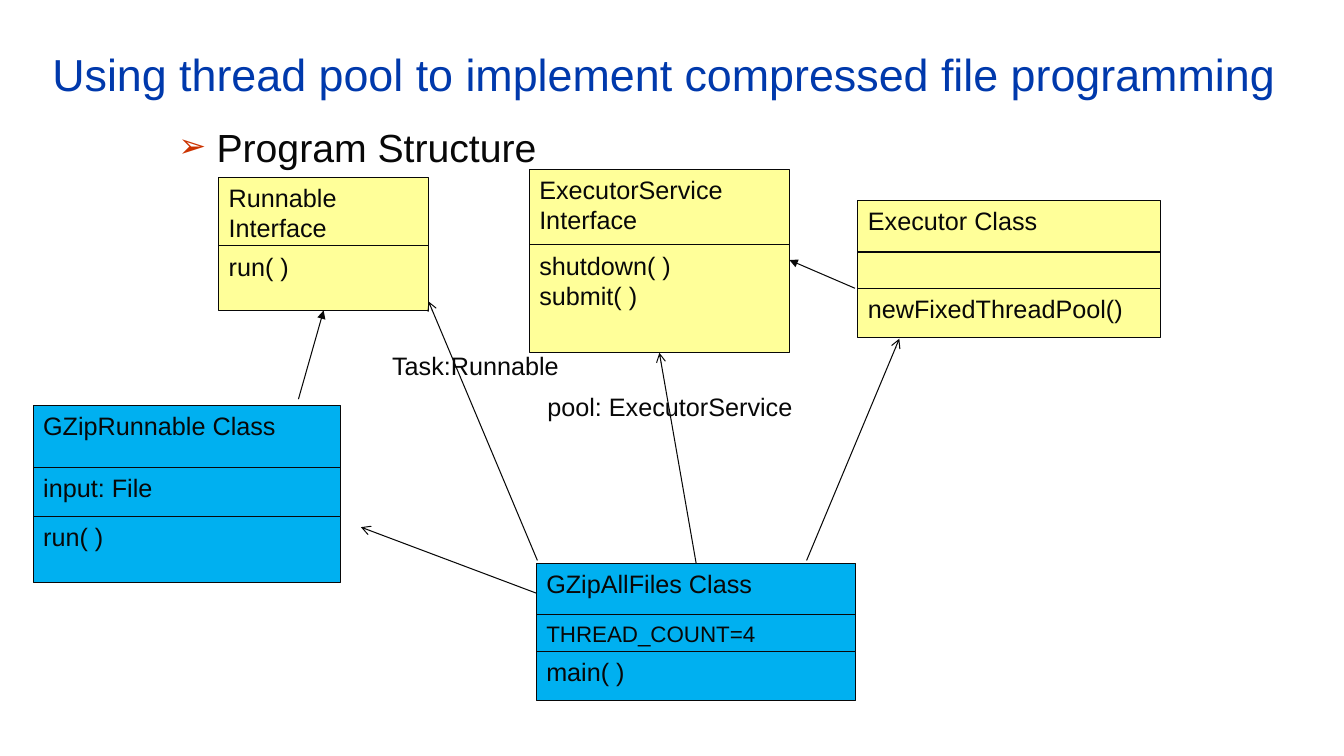
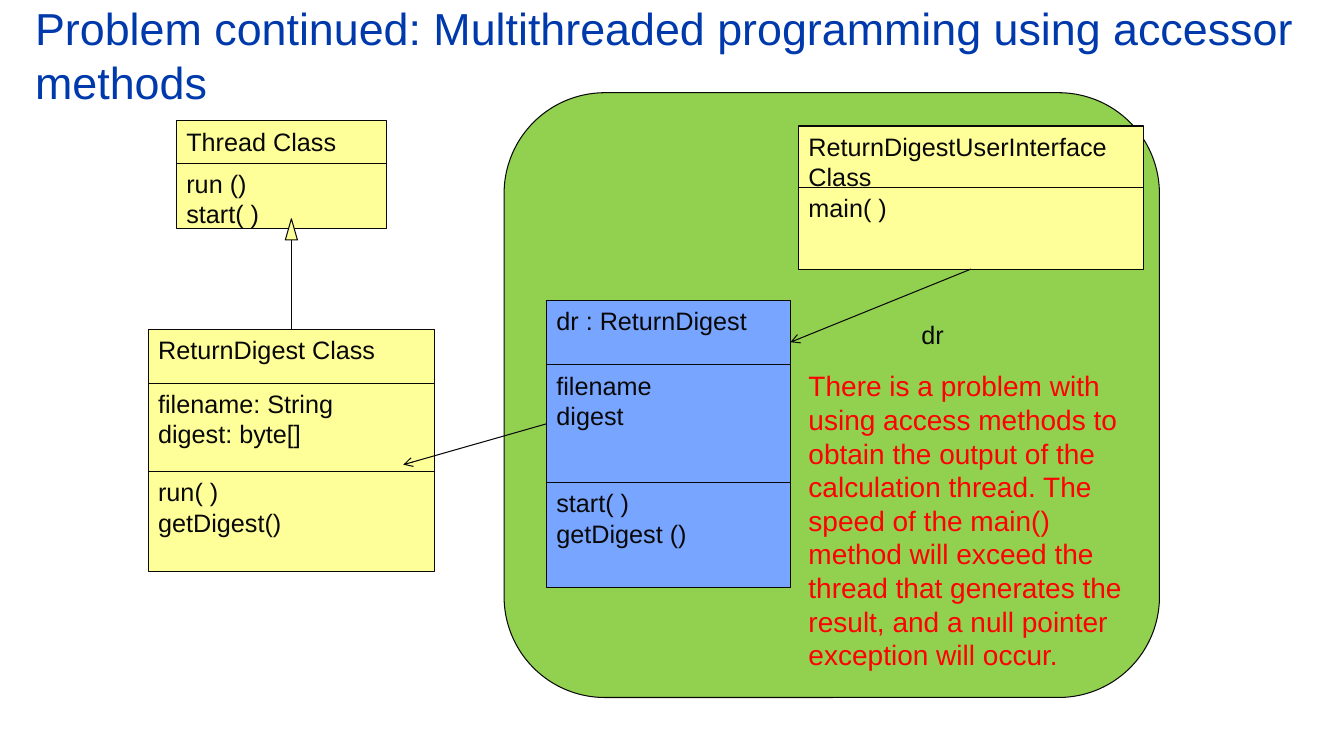
from lxml import etree
from pptx import Presentation
from pptx.dml.color import RGBColor
from pptx.enum.shapes import MSO_CONNECTOR, MSO_SHAPE
from pptx.enum.text import MSO_ANCHOR, PP_ALIGN
from pptx.oxml.ns import qn
from pptx.util import Inches, Pt

STRAIGHT = MSO_CONNECTOR.STRAIGHT
RECTANGLE, ROUNDED, TRIANGLE = (
    MSO_SHAPE.RECTANGLE, MSO_SHAPE.ROUNDED_RECTANGLE, MSO_SHAPE.ISOSCELES_TRIANGLE)
TOP, MIDDLE = MSO_ANCHOR.TOP, MSO_ANCHOR.MIDDLE
LEFT_ALIGN = PP_ALIGN.LEFT
SIDE_TOP, SIDE_LEFT, SIDE_BOTTOM, SIDE_RIGHT = range(4)

FONT = "Arial"
TITLE_SIZE, HEADING_SIZE, WARNING_SIZE, LABEL_SIZE, CONSTANT_SIZE = 32, 28, 20, 18, 16
LINE_WIDTH = 0.75
COLORS = {
    "title": "0039AC", "ink": "080808", "bullet": "CC3300", "warning": "FF0000",
    "yellow": "FFFF99", "cyan": "00B0F0", "blue": "78A5FF", "green": "92D050",
}

# Class: name, left, width, fill, compartments of (top, height, lines).
# Arrow: start, end, head; an end is a point or (class, compartment, side).
SLIDES = [
    {
        "title": ("Using thread pool to implement compressed file programming",
                  (0.42, 0.5, 12.58, 0.47)),
        "heading": ("Program Structure", (1.67, 1.17, 9, 1.04)),
        "classes": [
            ("GZipRunnable", 0.33, 3.05, "cyan", [
                (4.02, 0.71, ["GZipRunnable Class"]),
                (4.64, 0.51, ["input: File"]),
                (5.12, 0.66, ["run( )"])]),
            ("Runnable", 2.17, 2.08, "yellow", [
                (1.76, 0.76, ["Runnable Interface"]),
                (2.44, 0.64, ["run( )"])]),
            ("GZipAllFiles", 5.32, 3.17, "cyan", [
                (5.59, 0.59, ["GZipAllFiles Class"]),
                (6.1, 0.42, ["THREAD_COUNT=4"]),
                (6.46, 0.49, ["main( )"])]),
            ("ExecutorService", 5.25, 2.58, "yellow", [
                (1.68, 0.84, ["ExecutorService Interface"]),
                (2.43, 1.07, ["shutdown( )", "submit( )"])]),
            ("Executor", 8.51, 3, "yellow", [
                (1.99, 0.59, ["Executor Class"]),
                (2.5, 0.42, []),
                (2.86, 0.49, ["newFixedThreadPool()"])]),
        ],
        "arrows": [
            ((2.96, 3.96), ("Runnable", 1, SIDE_BOTTOM), "triangle"),
            (("GZipAllFiles", 0, SIDE_TOP), ("ExecutorService", 1, SIDE_BOTTOM), "arrow"),
            ((8, 5.56), (8.92, 3.36), "arrow"),
            (("GZipAllFiles", 0, SIDE_LEFT), (3.58, 5.23), "arrow"),
            ((5.33, 5.56), (4.25, 2.99), "arrow"),
            ((8.48, 2.86), (7.83, 2.58), "triangle"),
        ],
        "labels": [
            ("pool: ExecutorService", (5.33, 3.83, 3, 0.4), LABEL_SIZE, "ink"),
            ("Task:Runnable", (3.79, 3.43, 1.92, 0.4), LABEL_SIZE, "ink"),
        ],
    },
    {
        "panel": (5, 0.92, 6.5, 6),
        "title": ("Problem continued: Multithreaded programming using accessor methods",
                  (0.25, 0.02, 12.75, 1.05)),
        "classes": [
            ("UserInterface", 7.92, 3.42, "yellow", [
                (1.25, 0.62, ["ReturnDigestUserInterface Class"]),
                (1.86, 0.81, ["main( )"])]),
            ("Thread", 1.75, 2.08, "yellow", [
                (1.2, 0.42, ["Thread Class"]),
                (1.62, 0.65, ["run ()", "start( )"])]),
            ("ReturnDigest", 1.47, 2.84, "yellow", [
                (3.27, 0.62, ["ReturnDigest Class"]),
                (3.8, 0.88, ["filename: String", "digest: byte[]"]),
                (4.68, 0.99, ["run( )", "getDigest()"])]),
            ("dr", 5.42, 2.42, "blue", [
                (2.98, 0.83, ["dr : ReturnDigest"]),
                (3.62, 1.17, ["filename", "digest"]),
                (4.79, 1.04, ["start( )", "getDigest ()"])]),
        ],
        "inheritance_head": (2.83, 2.17, 0.12, 0.21),
        "arrows": [
            ((2.89, 2.38), ("ReturnDigest", 0, SIDE_TOP), None),
            (("dr", 1, SIDE_LEFT), (4, 4.61), "arrow"),
            (("UserInterface", 1, SIDE_BOTTOM), ("dr", 0, SIDE_RIGHT), "arrow"),
        ],
        "labels": [
            ("dr", (9.04, 3.12, 0.82, 0.4), LABEL_SIZE, "ink"),
            ("There is a problem with using access methods to obtain the output of the "
             "calculation thread. The speed of the main() method will exceed the thread "
             "that generates the result, and a null pointer exception will occur.",
             (7.92, 3.61, 3.58, 3.13), WARNING_SIZE, "warning"),
        ],
    },
]


def color(name):
    return RGBColor.from_string(COLORS[name])


def inches(values):
    return [Inches(value) for value in values]


def write_lines(shape, lines, size, ink, anchor=TOP):
    frame = shape.text_frame
    frame.word_wrap = True
    frame.vertical_anchor = anchor
    for number, line in enumerate(lines):
        paragraph = frame.add_paragraph() if number else frame.paragraphs[0]
        paragraph.alignment = LEFT_ALIGN
        run = paragraph.add_run()
        run.text = line
        run.font.name = FONT
        run.font.size = Pt(size)
        run.font.color.rgb = color(ink)


def add_text(slide, text, box, size, ink, anchor=TOP):
    shape = slide.shapes.add_textbox(*inches(box))
    write_lines(shape, [text], size, ink, anchor)
    return shape


def add_bullet(paragraph):
    properties = paragraph._p.get_or_add_pPr()
    indent = Inches(0.38)
    properties.set("marL", str(indent))
    properties.set("indent", str(-indent))
    bullet_color = etree.SubElement(properties, qn("a:buClr"))
    etree.SubElement(bullet_color, qn("a:srgbClr"), val=COLORS["bullet"])
    etree.SubElement(properties, qn("a:buSzPct"), val="85000")
    etree.SubElement(properties, qn("a:buFont"), typeface=FONT)
    etree.SubElement(properties, qn("a:buChar"), char="➢")


def add_outlined(slide, kind, box, fill):
    shape = slide.shapes.add_shape(kind, *inches(box))
    shape.shadow.inherit = False
    shape.fill.solid()
    shape.fill.fore_color.rgb = color(fill)
    shape.line.color.rgb = color("ink")
    shape.line.width = Pt(LINE_WIDTH)
    return shape


def add_class(slide, left, width, fill, compartments):
    """Draw the compartments of one class and return their shapes."""
    shapes = []
    for top, height, lines in compartments:
        shape = add_outlined(slide, RECTANGLE, (left, top, width, height), fill)
        is_constant = any("=" in line for line in lines)
        write_lines(shape, lines, CONSTANT_SIZE if is_constant else LABEL_SIZE, "ink")
        shapes.append(shape)
    return shapes


def add_arrow(slide, classes, start, end, head):
    """Draw a line whose ends are free points or joined to compartments."""
    points = [end_point if len(end_point) == 2 else (0, 0) for end_point in (start, end)]
    connector = slide.shapes.add_connector(STRAIGHT, *inches(points[0] + points[1]))
    for target, connect in ((start, connector.begin_connect), (end, connector.end_connect)):
        if len(target) == 3:
            name, compartment, side = target
            connect(classes[name][compartment], side)
    connector.line.color.rgb = color("ink")
    connector.line.width = Pt(LINE_WIDTH)
    properties = connector._element.spPr
    if head:
        etree.SubElement(properties.find(qn("a:ln")), qn("a:tailEnd"), type=head)
    etree.SubElement(properties, qn("a:effectLst"))


def build_slide(presentation, content):
    slide = presentation.slides.add_slide(presentation.slide_layouts[6])
    if "panel" in content:
        add_outlined(slide, ROUNDED, content["panel"], "green")
    add_text(slide, *content["title"], TITLE_SIZE, "title", MIDDLE)
    if "heading" in content:
        heading = add_text(slide, *content["heading"], HEADING_SIZE, "ink")
        add_bullet(heading.text_frame.paragraphs[0])
    classes = {name: add_class(slide, *parts) for name, *parts in content["classes"]}
    if "inheritance_head" in content:
        add_outlined(slide, TRIANGLE, content["inheritance_head"], "yellow")
    for arrow in content["arrows"]:
        add_arrow(slide, classes, *arrow)
    for label in content["labels"]:
        add_text(slide, *label)


def main():
    presentation = Presentation()
    presentation.slide_width, presentation.slide_height = inches((13.33, 7.5))
    for content in SLIDES:
        build_slide(presentation, content)
    presentation.save("out.pptx")


if __name__ == "__main__":
    main()
